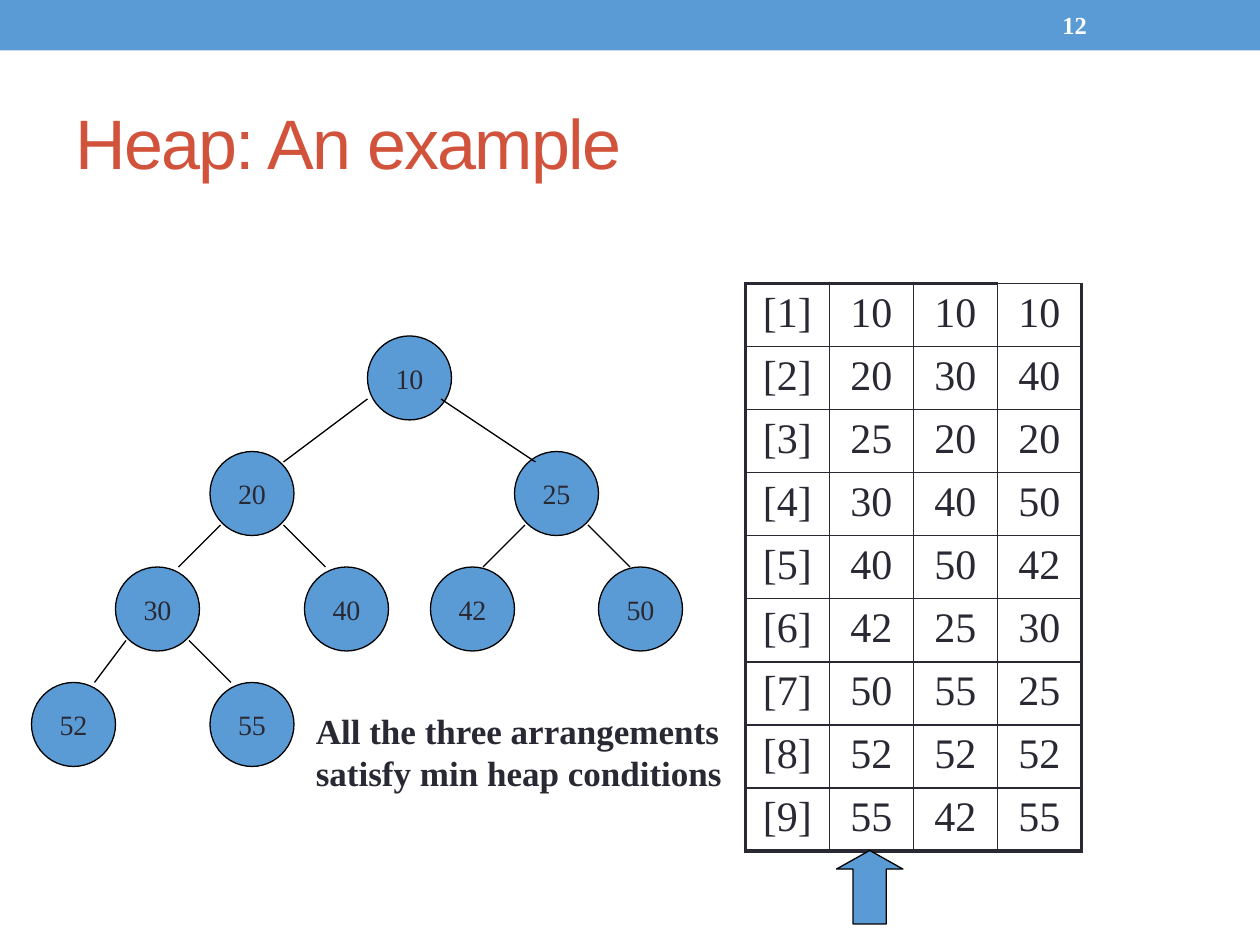
"""Build the slide that shows a min heap as a tree and as three arrays."""
import dataclasses

import lxml.etree
import pptx
import pptx.dml.color
import pptx.enum.shapes
import pptx.enum.text
import pptx.oxml.ns
import pptx.util

SHAPES = pptx.enum.shapes.MSO_SHAPE
ALIGN = pptx.enum.text.PP_ALIGN
ANCHOR = pptx.enum.text.MSO_ANCHOR


@dataclasses.dataclass(frozen=True)
class Theme:
    blue: str = "5B9BD5"
    red: str = "D2533C"
    ink: str = "292934"
    black: str = "000000"
    white: str = "FFFFFF"
    heading_font: str = "Arial"
    body_font: str = "Times New Roman"
    title_size: float = 40
    cell_size: float = 24
    caption_size: float = 20
    node_size: float = 16
    number_size: float = 14
    outline: float = 0.75
    thin: float = 0.96
    thick: float = 2.21


class SlideBuilder:
    """Draw styled elements on a grid of twelve units to the inch."""

    def __init__(self, deck, theme):
        self.deck = deck
        self.theme = theme
        self.page = deck.slides.add_slide(deck.slide_layouts[5])

    def grid(self, *units):
        return [pptx.util.Inches(unit / 12) for unit in units]

    def color(self, value):
        return pptx.dml.color.RGBColor.from_string(value)

    def add_lines(self, frame, lines, size, color, font=None, bold=False,
                  align=ALIGN.LEFT, before=0):
        for index, line in enumerate(lines):
            para = frame.paragraphs[0] if index == 0 else frame.add_paragraph()
            para.alignment = align
            para.space_before = pptx.util.Pt(before)
            span = para.add_run()
            span.text = line
            span.font.name = font or self.theme.body_font
            span.font.size = pptx.util.Pt(size)
            span.font.bold = bold
            span.font.color.rgb = self.color(color)

    def title(self, text, *place):
        box = self.page.shapes.title
        box.left, box.top, box.width, box.height = self.grid(*place)
        frame = box.text_frame
        frame.auto_size = pptx.enum.text.MSO_AUTO_SIZE.NONE
        frame.vertical_anchor = ANCHOR.MIDDLE
        self.add_lines(frame, [text], self.theme.title_size, self.theme.red,
                       self.theme.heading_font)
        span = frame.paragraphs[0].runs[0]
        span.font._element.set("spc", "-100")

    def text(self, lines, size, color, *place, wrap=False, anchor=ANCHOR.TOP):
        box = self.page.shapes.add_textbox(*self.grid(*place))
        box.text_frame.word_wrap = wrap
        box.text_frame.vertical_anchor = anchor
        self.add_lines(box.text_frame, lines, size, color, bold=True)

    def shape(self, kind, *place, outlined=True):
        box = self.page.shapes.add_shape(kind, *self.grid(*place))
        box.shadow.inherit = False
        box.fill.solid()
        box.fill.fore_color.rgb = self.color(self.theme.blue)
        if outlined:
            box.line.color.rgb = self.color(self.theme.black)
            box.line.width = pptx.util.Pt(self.theme.outline)
        else:
            box.line.fill.background()
        return box

    def node(self, label, left, top, size=8):
        box = self.shape(SHAPES.OVAL, left, top, size, size)
        box.text_frame.word_wrap = False
        box.text_frame.vertical_anchor = ANCHOR.MIDDLE
        self.add_lines(box.text_frame, [label], self.theme.node_size,
                       self.theme.ink, align=ALIGN.CENTER)

    def link(self, *ends):
        line = self.page.shapes.add_connector(
            pptx.enum.shapes.MSO_CONNECTOR.STRAIGHT, *self.grid(*ends))
        line.line.color.rgb = self.color(self.theme.black)
        line.line.width = pptx.util.Pt(self.theme.outline)
        lxml.etree.SubElement(line._element.spPr, pptx.oxml.ns.qn("a:effectLst"))

    def border(self, cell, side, width):
        qn = pptx.oxml.ns.qn
        line = lxml.etree.SubElement(
            cell._tc.get_or_add_tcPr(), qn(f"a:ln{side}"), w=str(pptx.util.Pt(width)))
        fill = lxml.etree.SubElement(line, qn("a:solidFill"))
        lxml.etree.SubElement(fill, qn("a:srgbClr"), val=self.theme.ink)

    def table(self, rows, left, top, column, row):
        last_row, last_column = len(rows) - 1, len(rows[0]) - 1
        table = self.page.shapes.add_table(
            len(rows), len(rows[0]),
            *self.grid(left, top, column * len(rows[0]), row * len(rows))).table
        table.first_row = table.horz_banding = False
        for item in table.columns:
            item.width = self.grid(column)[0]
        for r, values in enumerate(rows):
            table.rows[r].height = self.grid(row)[0]
            for c, value in enumerate(values):
                cell = table.cell(r, c)
                heavy = {"L": c == 0, "R": c == last_column,
                         "T": r == 0 and c < last_column, "B": r == last_row}
                for side, is_heavy in heavy.items():
                    self.border(cell, side,
                                self.theme.thick if is_heavy else self.theme.thin)
                cell.fill.background()
                self.add_lines(cell.text_frame, [value], self.theme.cell_size,
                               self.theme.ink, align=ALIGN.CENTER, before=4.8)


LEVELS = [
    [("10", 35)],
    [("20", 20), ("25", 49)],
    [("30", 11), ("40", 29), ("42", 41), ("50", 57)],
    [("52", 3), ("55", 20)],
]
LINKS = [
    (35, 38, 27, 44), (42, 38, 51, 44),
    (21, 50, 17, 54), (27, 50, 31, 54), (50, 50, 46, 54), (56, 50, 60, 54),
    (12, 61, 9, 65), (18, 61, 22, 65),
]
ARRANGEMENTS = [
    (10, 20, 25, 30, 40, 42, 50, 52, 55),
    (10, 30, 20, 40, 50, 25, 55, 52, 42),
    (10, 40, 20, 50, 42, 30, 25, 52, 55),
]


def main():
    deck = pptx.Presentation()
    deck.slide_width = pptx.util.Inches(10)
    deck.slide_height = pptx.util.Inches(7.5)
    theme = Theme()
    slide = SlideBuilder(deck, theme)

    slide.shape(SHAPES.RECTANGLE, 0, 0, 120, 4.8, outlined=False)
    slide.title("Heap: An example", 6, 7, 108, 13)
    slide.text(["12"], theme.number_size, theme.white, 100, 0.25, 14, 4.3,
               wrap=True, anchor=ANCHOR.MIDDLE)

    for depth, nodes in enumerate(LEVELS):
        for label, left in nodes:
            slide.node(label, left, 32 + 11 * depth)
    for ends in LINKS:
        slide.link(*ends)

    rows = [[f"[{index}]", *map(str, values)]
            for index, values in enumerate(zip(*ARRANGEMENTS), 1)]
    slide.table(rows, 71, 27, 8, 5.93)
    arrow = slide.shape(SHAPES.UP_ARROW, 79.67, 81, 6.33, 7)
    arrow.adjustments[0] = 0.5
    arrow.adjustments[1] = 0.28
    slide.text(["All the three arrangements", "satisfy min heap conditions"],
               theme.caption_size, theme.ink, 28.9, 67, 41.2, 9.25)
    deck.save("out.pptx")


if __name__ == "__main__":
    main()
